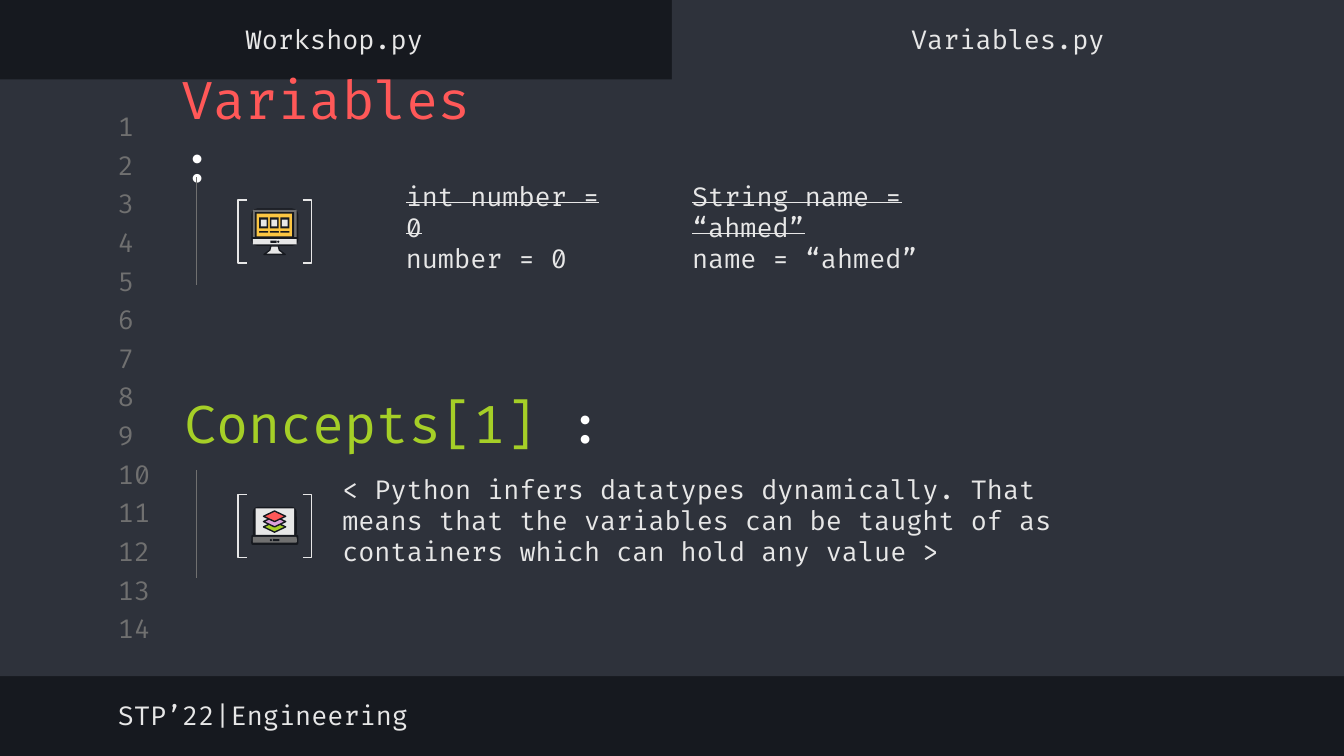
from lxml import etree
from pptx import Presentation
from pptx.dml.color import RGBColor
from pptx.enum.shapes import MSO_CONNECTOR, MSO_SHAPE
from pptx.enum.text import MSO_ANCHOR, MSO_AUTO_SIZE, PP_ALIGN
from pptx.oxml.ns import qn
from pptx.util import Cm, Pt

RECT, ROUND = MSO_SHAPE.RECTANGLE, MSO_SHAPE.ROUNDED_RECTANGLE
OVAL, DIAMOND = MSO_SHAPE.OVAL, MSO_SHAPE.DIAMOND
LEFT_BRACKET, RIGHT_BRACKET = MSO_SHAPE.LEFT_BRACKET, MSO_SHAPE.RIGHT_BRACKET
LEFT, CENTER = PP_ALIGN.LEFT, PP_ALIGN.CENTER
MIDDLE, NO_FIT = MSO_ANCHOR.MIDDLE, MSO_AUTO_SIZE.NONE
STRAIGHT = MSO_CONNECTOR.STRAIGHT

COLORS = {"dark": "16191F", "panel": "2E323B", "grey": "707070", "light": "E7E7E7",
          "white": "FFFFFF", "red": "FF5858", "green": "A5CF27",
          "yellow": "FCC642", "pink": "DBA0DB"}


def rgb(name):
    return RGBColor.from_string(COLORS[name])


class Deck:
    font = "Fira Code"
    frame = {"word_wrap": True, "auto_size": NO_FIT, "vertical_anchor": MIDDLE,
             "margin_left": Cm(0.25), "margin_right": Cm(0.25),
             "margin_top": Cm(0.25), "margin_bottom": Cm(0.25)}

    def __init__(self, width, height):
        self.prs = Presentation()
        self.prs.slide_width, self.prs.slide_height = Cm(width), Cm(height)

    def new_slide(self, background):
        self.s = self.prs.slides.add_slide(self.prs.slide_layouts[5])
        fill = self.s.background.fill
        fill.solid()
        fill.fore_color.rgb = rgb(background)

    def fill_text(self, sp, paragraphs, size, align):
        """Each paragraph is a list of (text, color, strike) runs."""
        tf = sp.text_frame
        for name, value in self.frame.items():
            setattr(tf, name, value)
        for i, runs in enumerate(paragraphs):
            p = tf.paragraphs[0] if i == 0 else tf.add_paragraph()
            p.alignment = align
            for text, color, strike in runs:
                r = p.add_run()
                r.text = text
                for name, value in {"name": self.font, "size": Pt(size)}.items():
                    setattr(r.font, name, value)
                r.font.color.rgb = rgb(color)
                if strike:
                    r.font._element.set("strike", "sngStrike")

    def title(self, box, runs, size=28):
        sp = self.s.shapes.title
        sp.left, sp.top, sp.width, sp.height = map(Cm, box)
        self.fill_text(sp, [runs], size, LEFT)
        self.s.shapes.element.append(sp.element)  # bring in front of the panels

    def text(self, box, paragraphs, size=14, align=LEFT):
        self.fill_text(self.s.shapes.add_textbox(*map(Cm, box)), paragraphs, size, align)

    def label(self, box, text, color="light", align=LEFT):
        self.text(box, [[(text, color, False)]], align=align)

    def paint(self, sp, fill, line):
        sp.shadow.inherit = False
        if fill:
            sp.fill.solid()
            sp.fill.fore_color.rgb = rgb(fill)
        else:
            sp.fill.background()
        if line:
            sp.line.color.rgb = rgb(line)
            sp.line.width = Pt(0.75)
        else:
            sp.line.fill.background()

    def shape(self, kind, box, fill=None, line=None):
        sp = self.s.shapes.add_shape(kind, *map(Cm, box))
        self.paint(sp, fill, line)
        return sp

    def outline(self, points, fill, line):
        (x, y), *rest = [(Cm(px), Cm(py)) for px, py in points]
        builder = self.s.shapes.build_freeform(x, y)
        builder.add_line_segments(rest, close=True)
        self.paint(builder.convert_to_shape(), fill, line)

    def rule(self, x, top, length):
        c = self.s.shapes.add_connector(STRAIGHT, Cm(x), Cm(top), Cm(x), Cm(top + length))
        c.line.color.rgb = rgb("grey")
        c.line.width = Pt(0.75)
        etree.SubElement(c._element.spPr, qn("a:effectLst"))

    def buttons(self, dot_x, bar_x, y):
        self.shape(OVAL, (dot_x, y, 0.04, 0.04), "dark")
        self.shape(ROUND, (bar_x, y, 0.12, 0.04), "dark")

    def monitor(self):
        for kind, box, fill in [(ROUND, (4.75, 3.94, 0.89, 0.71), "dark"),
                                (RECT, (4.78, 3.97, 0.83, 0.51), "grey"),
                                (RECT, (4.82, 4.01, 0.74, 0.5), "dark"),
                                (RECT, (4.85, 4.04, 0.67, 0.43), "yellow"),
                                (RECT, (4.78, 4.52, 0.83, 0.1), "light")]:
            self.shape(kind, box, fill)
        for i in range(3):
            x = 4.9 + 0.2 * i
            self.shape(RECT, (x, 4.11, 0.17, 0.21), "dark")
            self.shape(RECT, (x + 0.03, 4.15, 0.11, 0.13), "light")
            self.shape(ROUND, (x, 4.37, 0.17, 0.03), "dark")
        self.outline([(5.12, 4.65), (5.26, 4.65), (5.28, 4.73), (5.39, 4.81),
                      (4.99, 4.81), (5.1, 4.73)], "light", "dark")
        self.buttons(5.24, 5.11, 4.55)

    def laptop(self):
        for kind, box, fill in [(ROUND, (4.78, 9.58, 0.83, 0.6), "dark"),
                                (RECT, (4.83, 9.61, 0.73, 0.5), "light"),
                                (ROUND, (4.75, 10.11, 0.89, 0.19), "dark"),
                                (ROUND, (4.78, 10.15, 0.83, 0.11), "grey")]:
            self.shape(kind, box, fill)
        for i, color in enumerate(["green", "pink", "red"]):
            self.shape(DIAMOND, (4.98, 9.86 - 0.1 * i, 0.42, 0.2), color, "dark")
        self.buttons(5.1, 5.16, 10.19)


d = Deck(25.4, 14.29)
d.new_slide("dark")

# Editor panels and line numbers
d.shape(RECT, (0, 1.5, 25.4, 11.28), "panel")
d.shape(RECT, (12.7, 0, 12.7, 1.65), "panel")
for i in range(14):
    d.label((1.98, 2.08 + 0.73 * i, 1.19, 0.61), str(i + 1), "grey")

# Code examples and explanation
for left, width, typed, plain in [
        (7.42, 4.7, "int number = 0", "number = 0"),
        (12.83, 6.76, "String name = “ahmed”", "name = “ahmed”")]:
    d.text((left, 3.2, width, 2.18),
           [[(typed, "light", True)], [(plain, "light", False)]])
d.label((6.22, 8.74, 14.27, 2.18),
        "< Python infers datatypes dynamically. That means that the variables "
        "can be taught of as containers which can hold any value >")

# Headings
d.title((3.18, 1.73, 7.11, 1.47),
        [("Variables ", "red", False), (": ", "white", False)])
d.text((3.23, 7.26, 11.28, 1.47),
       [[("Concepts[1] ", "green", False), (":", "white", False)]], size=28)

# Icons, brackets and section rules
d.monitor()
d.laptop()
for rule_top, bracket_top in [(3.35, 3.78), (8.89, 9.35)]:
    for kind, x in [(LEFT_BRACKET, 4.5), (RIGHT_BRACKET, 5.72)]:
        d.shape(kind, (x, bracket_top, 0.17, 1.19), line="light").adjustments[0] = 0
    d.rule(3.71, rule_top, 2.03)

# Footer and tabs
d.label((1.98, 13.03, 13.51, 0.99), "STP’22|Engineering")
for left, name in [(-0.03, "Workshop.py"), (12.7, "Variables.py")]:
    d.label((left, 0.25, 12.7, 0.99), name, align=CENTER)

d.prs.save("out.pptx")
